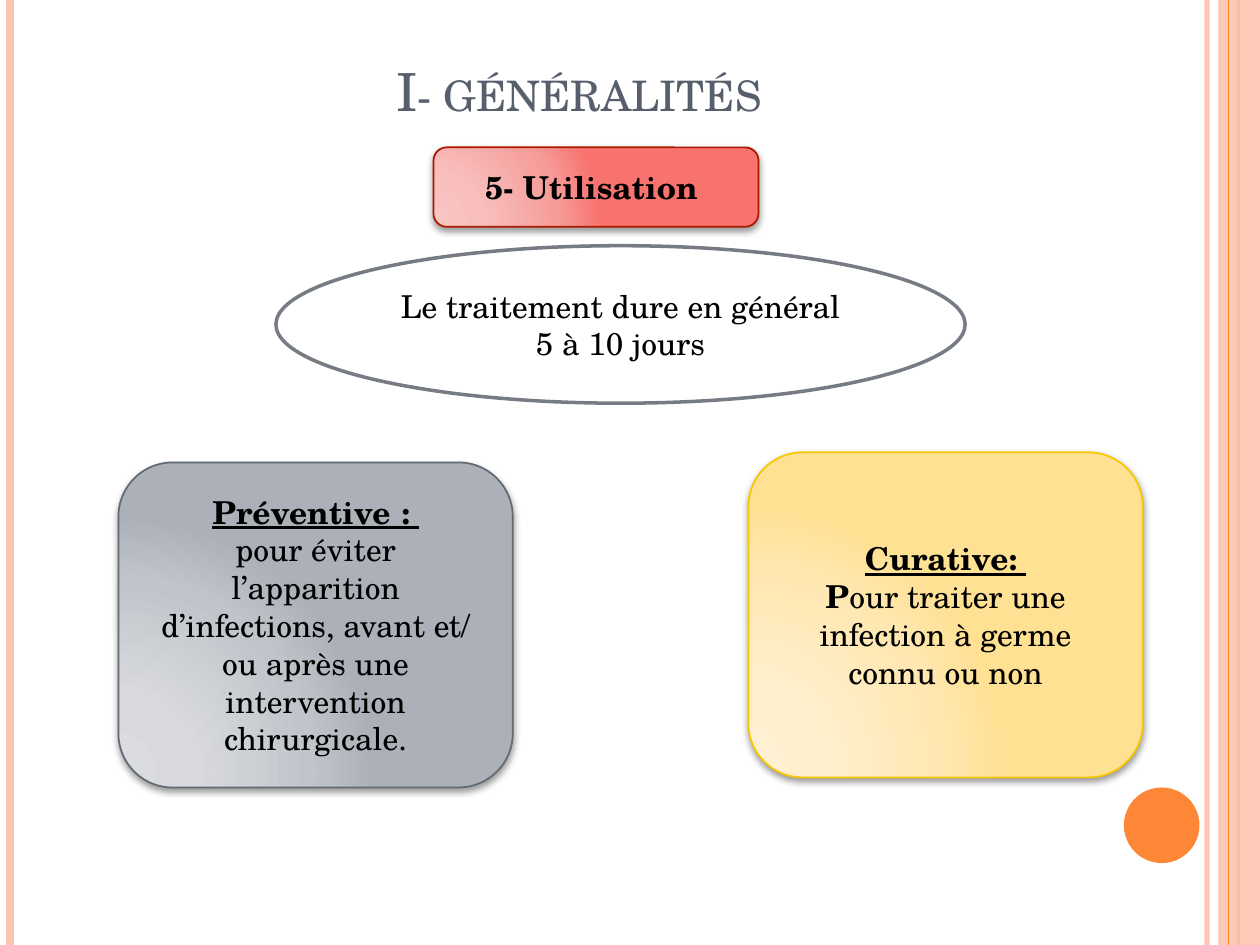
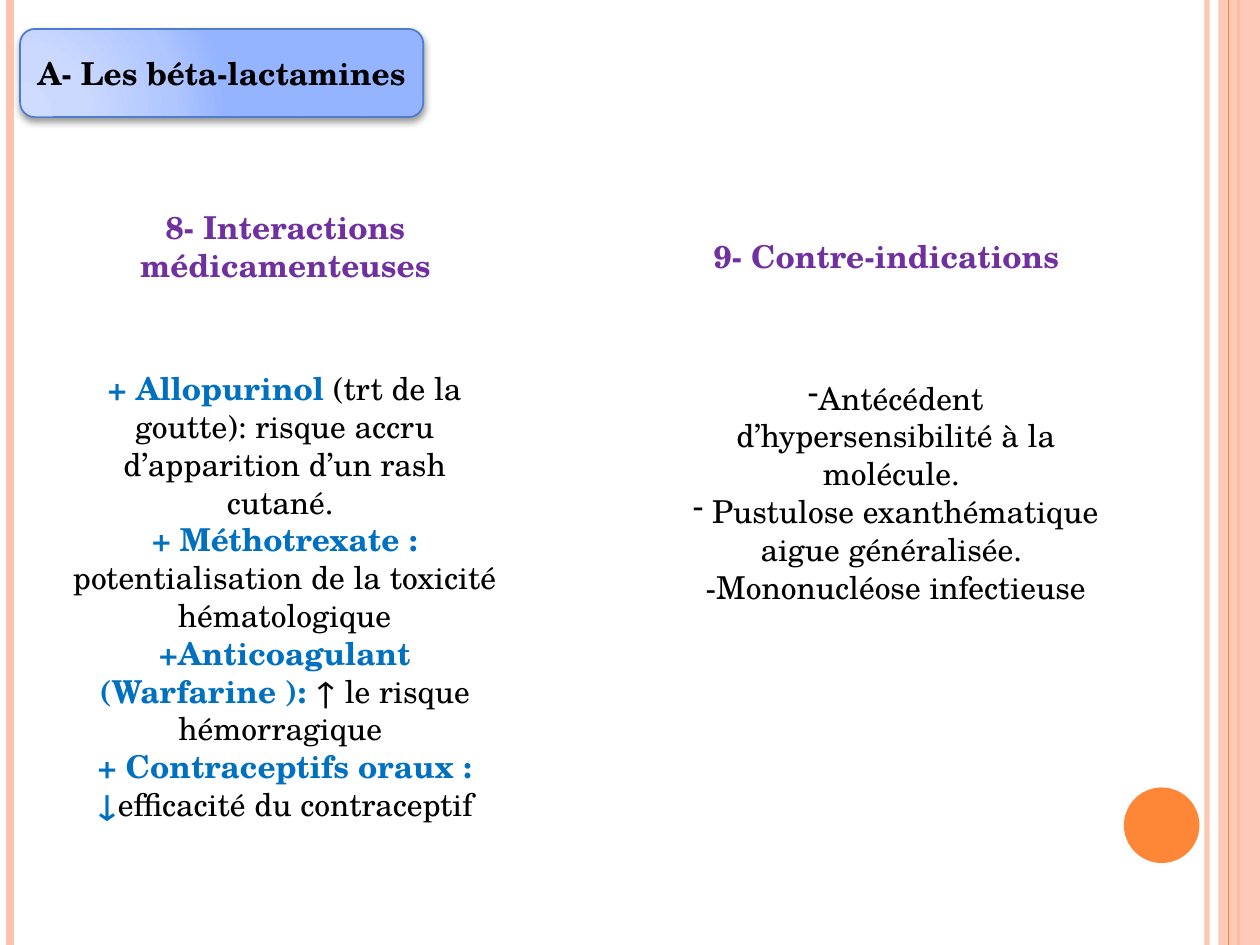
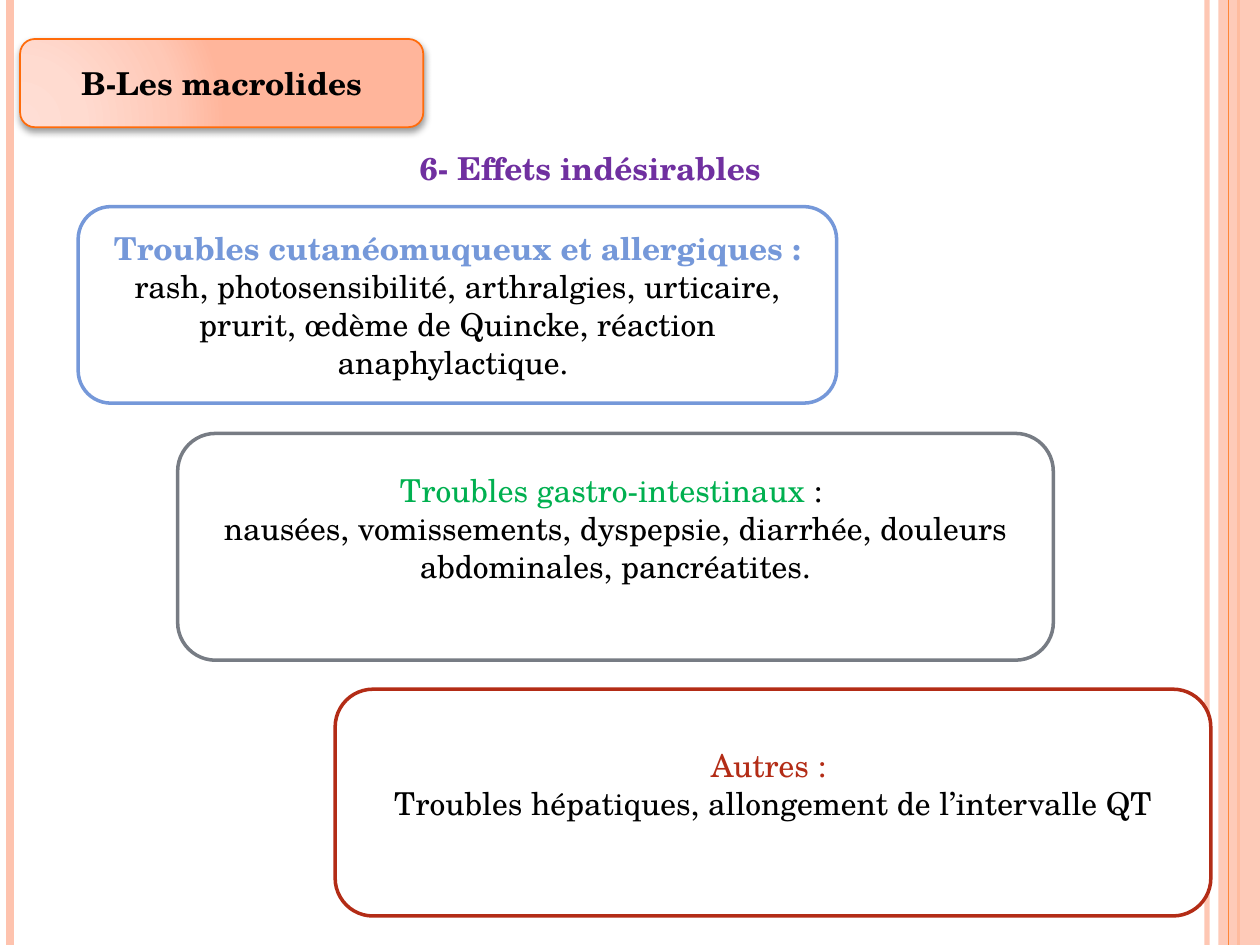
from dataclasses import dataclass
from pptx import Presentation
from pptx.dml.color import RGBColor
from pptx.enum.shapes import MSO_CONNECTOR, MSO_SHAPE
from pptx.enum.text import MSO_ANCHOR, PP_ALIGN
from pptx.oxml import parse_xml
from pptx.oxml.ns import nsdecls, qn
from pptx.util import Inches, Pt
from lxml.etree import SubElement


@dataclass(frozen=True)
class Theme:
    font: str = "TeX Gyre Schola"
    head: int = 30
    body: int = 18
    black: str = "000000"
    white: str = "FFFFFF"
    slate: str = "575F6D"
    peach: str = "FEC3AE"
    orange: str = "FE8637"
    purple: str = "7030A0"
    drug: str = "0070C0"
    blue: str = "7598D9"
    gray: str = "777C84"
    green: str = "00B050"
    red: str = "B32C16"
    # Glossy tints: border, then four stops from light to dark
    steel: tuple = ("636A74", "DADCE0", "D7D9DD", "C1C5CB", "ABB0B9")
    gold: tuple = ("F8C700", "FFF0D1", "FFEFCC", "FFE7B1", "FFE193")
    rose: tuple = ("AC1800", "F8C5C3", "F8BFBD", "F69B98", "F8736E")
    sky: tuple = ("4F7CCF", "CFDCFF", "CBD9FF", "AFC6FF", "95B4FF")
    coral: tuple = ("FF6B0A", "FFDED5", "FFDBD0", "FFC8B6", "FFB59B")
    stops: tuple = (0, 30, 75, 100)


T = Theme()
ROUND, OVAL = MSO_SHAPE.ROUNDED_RECTANGLE, MSO_SHAPE.OVAL


def rgb(code):
    return RGBColor.from_string(code)


def fade(owner, alpha):
    """Set the opacity, in percent, of the first solid colour inside."""
    tint = next(owner.iter(qn("a:srgbClr")))
    SubElement(tint, qn("a:alpha")).set("val", str(alpha * 1000))


# Text: a paragraph is a list of runs (text, colour, marks), marks "b" and "u"
def write(shape, paras, dashed=()):
    frame = shape.text_frame
    frame.word_wrap = True
    frame.vertical_anchor = MSO_ANCHOR.MIDDLE
    for i, runs in enumerate(paras):
        para = frame.paragraphs[0] if i == 0 else frame.add_paragraph()
        para.alignment = PP_ALIGN.CENTER
        if i in dashed:
            props = para._p.get_or_add_pPr()
            props.set("marL", "0")
            props.set("indent", "0")
            SubElement(props, qn("a:buFontTx"))
            SubElement(props, qn("a:buChar")).set("char", "-")
        for text, color, marks in runs:
            run = para.add_run()
            run.text = text
            font = run.font
            font.name, font.size = T.font, Pt(T.body)
            font.color.rgb = rgb(color)
            font.bold, font.underline = "b" in marks, "u" in marks


def plain(text):
    return text, T.black, ""


# Shapes
def block(slide, kind, box, fill=T.white, line=None, width=2):
    shape = slide.shapes.add_shape(kind, *map(Inches, box))
    shape.shadow.inherit = False
    shape.fill.solid()
    shape.fill.fore_color.rgb = rgb(fill)
    if line:
        shape.line.color.rgb = rgb(line)
        shape.line.width = Pt(width)
    else:
        shape.line.fill.background()
    return shape


def gloss(slide, box, tint, paras):
    """Rounded box with a radial gradient and a soft shadow."""
    edge, *shades = tint
    shape = block(slide, ROUND, box, line=edge, width=1)
    stops = "".join(f'<a:gs pos="{pos * 1000}"><a:srgbClr val="{shade}"/></a:gs>'
                    for pos, shade in zip(T.stops, shades))
    props = shape.element.spPr
    props.replace(props.find(qn("a:solidFill")), parse_xml(
        f'<a:gradFill {nsdecls("a")} rotWithShape="1"><a:gsLst>{stops}</a:gsLst>'
        '<a:path path="circle"><a:fillToRect l="5000" t="100000" r="120000" b="10000"/>'
        '</a:path></a:gradFill>'))
    props.find(qn("a:effectLst")).append(parse_xml(
        f'<a:outerShdw {nsdecls("a")} blurRad="{Pt(4)}" dist="{Pt(2)}" dir="5400000" '
        f'rotWithShape="0"><a:srgbClr val="{T.black}"><a:alpha val="40000"/></a:srgbClr>'
        '</a:outerShdw>'))
    write(shape, paras)


def tag(slide, top, tint, text):
    gloss(slide, (0.16, top, 3.2, 0.7), tint, [[(text, T.black, "b")]])


def label(slide, box, text):
    write(slide.shapes.add_textbox(*map(Inches, box)), [[(text, T.purple, "b")]])


def stripe(slide, x, color, width, alpha=100):
    line = slide.shapes.add_connector(
        MSO_CONNECTOR.STRAIGHT, Inches(x), 0, Inches(x), Inches(7.5))
    line.line.color.rgb = rgb(color)
    line.line.width = Pt(width)
    SubElement(line.element.spPr, qn("a:effectLst"))
    if alpha < 100:
        fade(line.element.spPr, alpha)


def start(deck, layout, dot=True):
    """New slide with the side stripes and, if wanted, the orange dot."""
    slide = deck.slides.add_slide(deck.slide_layouts[layout])
    stripe(slide, 9.58, T.peach, 3, 93)
    stripe(slide, 0.08, T.peach, 4.5)
    stripe(slide, 9.83, T.orange, 1.5)
    band = block(slide, MSO_SHAPE.RECTANGLE, (9.67, 0, 0.33, 7.5), T.peach)
    fade(band.element.spPr, 87)
    stripe(slide, 9.75, T.orange, 0.75)
    if dot:
        block(slide, OVAL, (8.92, 6.25, 0.6, 0.6), T.orange)
    return slide


def title(slide, text):
    head = slide.shapes.title
    head.left, head.top, head.width, head.height = map(Inches, (0.51, -0.23, 8.17, 1.25))
    frame = head.text_frame
    frame.text = text
    frame.vertical_anchor = MSO_ANCHOR.BOTTOM
    para = frame.paragraphs[0]
    para.alignment = PP_ALIGN.CENTER
    font = para.runs[0].font
    font.name, font.size = T.font, Pt(T.head)
    font.color.rgb = rgb(T.slate)
    para.runs[0]._r.get_or_add_rPr().set("cap", "small")


# Slides
def usage(deck):
    slide = start(deck, 5)
    title(slide, "I- généralités")
    gloss(slide, (0.94, 3.67, 3.13, 2.58), T.steel, [
        [("Préventive\u00a0: ", T.black, "bu")],
        [plain("pour éviter l’apparition d’infections, avant et/ ou après "
               "une intervention chirurgicale.")]])
    gloss(slide, (5.94, 3.59, 3.13, 2.58), T.gold, [
        [("Curative: ", T.black, "bu")],
        [("P", T.black, "b"), plain("our traiter une infection à germe connu ou non")]])
    write(block(slide, OVAL, (2.19, 1.95, 5.47, 1.25), line=T.gray),
          [[plain("Le traitement dure en général 5 à 10 jours")]])
    gloss(slide, (3.44, 1.17, 2.58, 0.63), T.rose, [[("5- Utilisation ", T.black, "b")]])


def lactams(deck):
    slide = start(deck, 6)
    tag(slide, 0.23, T.sky, "A- Les béta-lactamines")
    drugs = [
        ("+ Allopurinol ",
         "(trt de la goutte): risque accru d’apparition d’un rash cutané. "),
        ("+ Méthotrexate : ", "potentialisation de la toxicité hématologique"),
        ("+Anticoagulant (Warfarine ): ", "↑ le risque hémorragique "),
        ("+ Contraceptifs oraux : ↓", "efficacité du contraceptif"),
    ]
    write(block(slide, ROUND, (0.23, 2.27, 4.06, 4.92)),
          [[(drug, T.drug, "b"), plain(risk)] for drug, risk in drugs])
    write(block(slide, ROUND, (5.08, 2.03, 4.06, 3.75)), [
        [plain("Antécédent d’hypersensibilité à la molécule. ")],
        [plain(" Pustulose exanthématique aigue généralisée. ")],
        [plain("-Mononucléose infectieuse")]], dashed=(0, 1))
    label(slide, (0.7, 0.94, 3.13, 2.03), "8- Interactions médicamenteuses")
    label(slide, (5.47, 1.72, 3.13, 0.63), "9- Contre-indications")


def macros(deck):
    slide = start(deck, 6, dot=False)
    tag(slide, 0.31, T.coral, "B-Les macrolides")
    label(slide, (3.12, 1.02, 3.13, 0.63), "6- Effets indésirables")
    skin = block(slide, ROUND, (0.62, 1.64, 6.02, 1.56), line=T.blue)
    write(skin, [[
        ("Troubles cutanéomuqueux et allergiques : ", T.blue, "b"),
        plain("rash, photosensibilité, arthralgies, urticaire, prurit, "
              "œdème de Quincke, réaction anaphylactique. ")]])
    gut = block(slide, ROUND, (1.41, 3.44, 6.95, 1.8), line=T.gray)
    write(gut, [
        [("Troubles gastro-intestinaux ", T.green, ""), plain(": ")],
        [plain("nausées, vomissements, dyspepsie, diarrhée, douleurs "
               "abdominales, pancréatites.")]])
    other = block(slide, ROUND, (2.66, 5.47, 6.95, 1.8), line=T.red)
    write(other, [
        [("Autres : ", T.red, "")],
        [plain("Troubles hépatiques, allongement de l’intervalle QT")]])
    # Lift the text by half a line
    for shape in (gut, other):
        shape.text_frame.margin_bottom = Inches(0.35)


def main():
    deck = Presentation()
    deck.slide_width, deck.slide_height = Inches(10), Inches(7.5)
    usage(deck)
    lactams(deck)
    macros(deck)
    deck.save("out.pptx")


if __name__ == "__main__":
    main()
